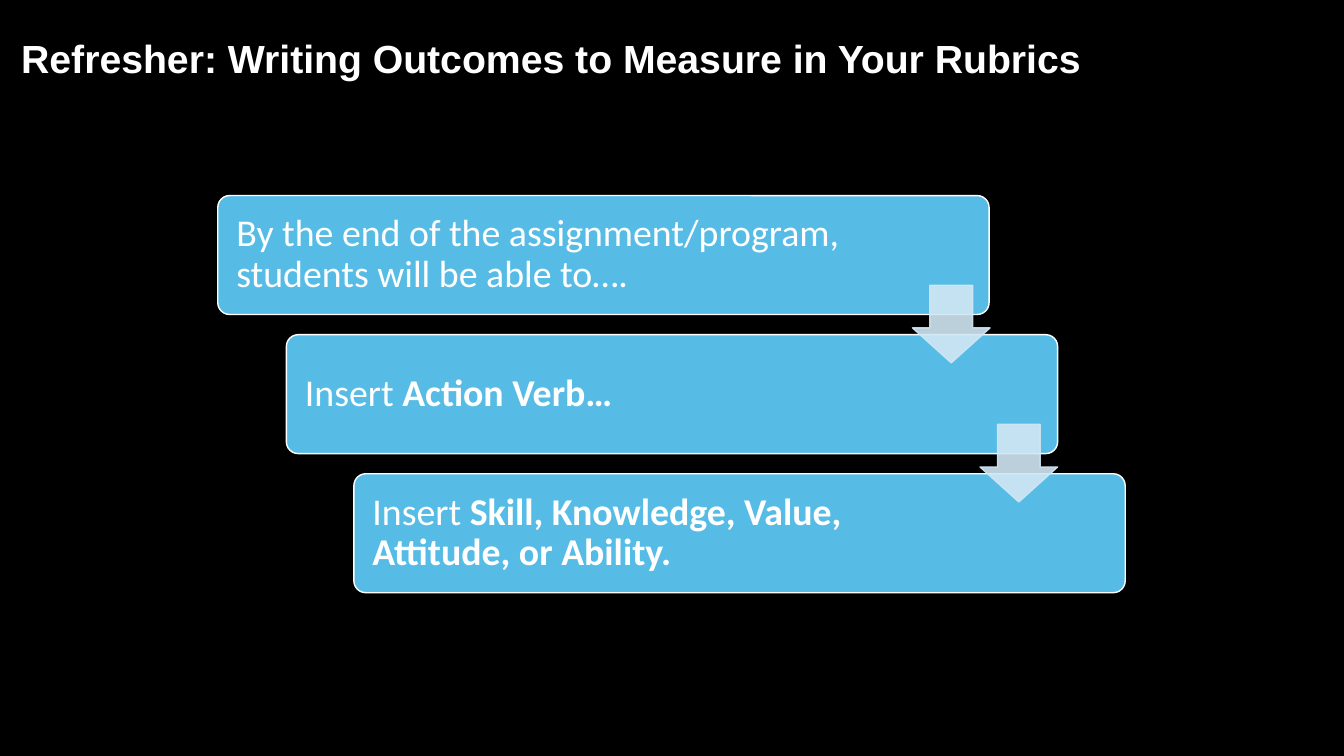
from lxml import etree
from pptx import Presentation
from pptx.dml.color import RGBColor
from pptx.enum.shapes import MSO_SHAPE
from pptx.enum.text import MSO_ANCHOR, MSO_AUTO_SIZE, PP_ALIGN
from pptx.oxml.ns import qn
from pptx.util import Emu, Pt

SCALE = 9144
ROUNDED = MSO_SHAPE.ROUNDED_RECTANGLE
DOWN_ARROW = MSO_SHAPE.DOWN_ARROW
MIDDLE = MSO_ANCHOR.MIDDLE
LEFT = PP_ALIGN.LEFT
NO_AUTOFIT = MSO_AUTO_SIZE.NONE
COLORS = {"background": "000000", "text": "FFFFFF", "step": "57BCE5", "arrow": "D1E7F5"}


def write_text(frame, runs, font, size, margins):
    frame.word_wrap = True
    frame.auto_size = NO_AUTOFIT
    frame.vertical_anchor = MIDDLE
    frame.margin_left, frame.margin_top, frame.margin_right, frame.margin_bottom = [
        Emu(margin * SCALE) for margin in margins]
    para = frame.paragraphs[0]
    para.alignment = LEFT
    para.line_spacing = 0.9
    for text, bold in runs:
        span = para.add_run()
        span.text = text
        span.font.name = font
        span.font.size = Pt(size)
        span.font.bold = bold
        span.font.color.rgb = RGBColor.from_string(COLORS["text"])


def add_block(page, kind, bounds, adjustments, fill, line, opacity=100):
    block = page.shapes.add_shape(kind, *[Emu(length * SCALE) for length in bounds])
    block.shadow.inherit = False
    for index, value in enumerate(adjustments):
        block.adjustments[index] = value
    block.fill.solid()
    block.fill.fore_color.rgb = RGBColor.from_string(COLORS[fill])
    block.line.color.rgb = RGBColor.from_string(COLORS[line])
    block.line.width = Pt(1)
    if opacity < 100:
        for color in block.element.spPr.iter(qn("a:srgbClr")):
            etree.SubElement(color, qn("a:alpha"), val=str(opacity * 1000))
    return block


deck = Presentation()
deck.slide_width = Emu(1333 * SCALE)
deck.slide_height = Emu(750 * SCALE)
page = deck.slides.add_slide(deck.slide_layouts[5])
page.background.fill.solid()
page.background.fill.fore_color.rgb = RGBColor.from_string(COLORS["background"])

title = page.shapes.title
title.left, title.top, title.width, title.height = [
    Emu(length * SCALE) for length in (0, 2, 1333, 117)]
write_text(title.text_frame, [("Refresher: Writing Outcomes to Measure in Your Rubrics", True)],
           font="Arial", size=28, margins=(21, 5, 10, 5))

steps = [
    ([("By the end of the assignment/program, students will be able to….", False)], 134),
    ([("Insert ", False), ("Action Verb…", True)], 159),
    ([("Insert ", False), ("Skill, Knowledge, Value, Attitude, or Ability.", True)], 159),
]
STEP_LEFT, STEP_TOP = 216, 194
STEP_RIGHT, STEP_DOWN = 67.5, 138

for index, (runs, right_margin) in enumerate(steps):
    left = round(STEP_LEFT + index * STEP_RIGHT)
    box = add_block(page, ROUNDED, (left, STEP_TOP + index * STEP_DOWN, 765, 118),
                    [0.1], fill="step", line="text")
    write_text(box.text_frame, runs, font="Calibri", size=27,
               margins=(15, 14, right_margin, 14))

for index in range(len(steps) - 1):
    left = round(STEP_LEFT + 689 + index * STEP_RIGHT)
    add_block(page, DOWN_ARROW, (left, STEP_TOP + 89 + index * STEP_DOWN, 77, 77),
              [0.55, 0.45], fill="arrow", line="arrow", opacity=90)

deck.save("out.pptx")
